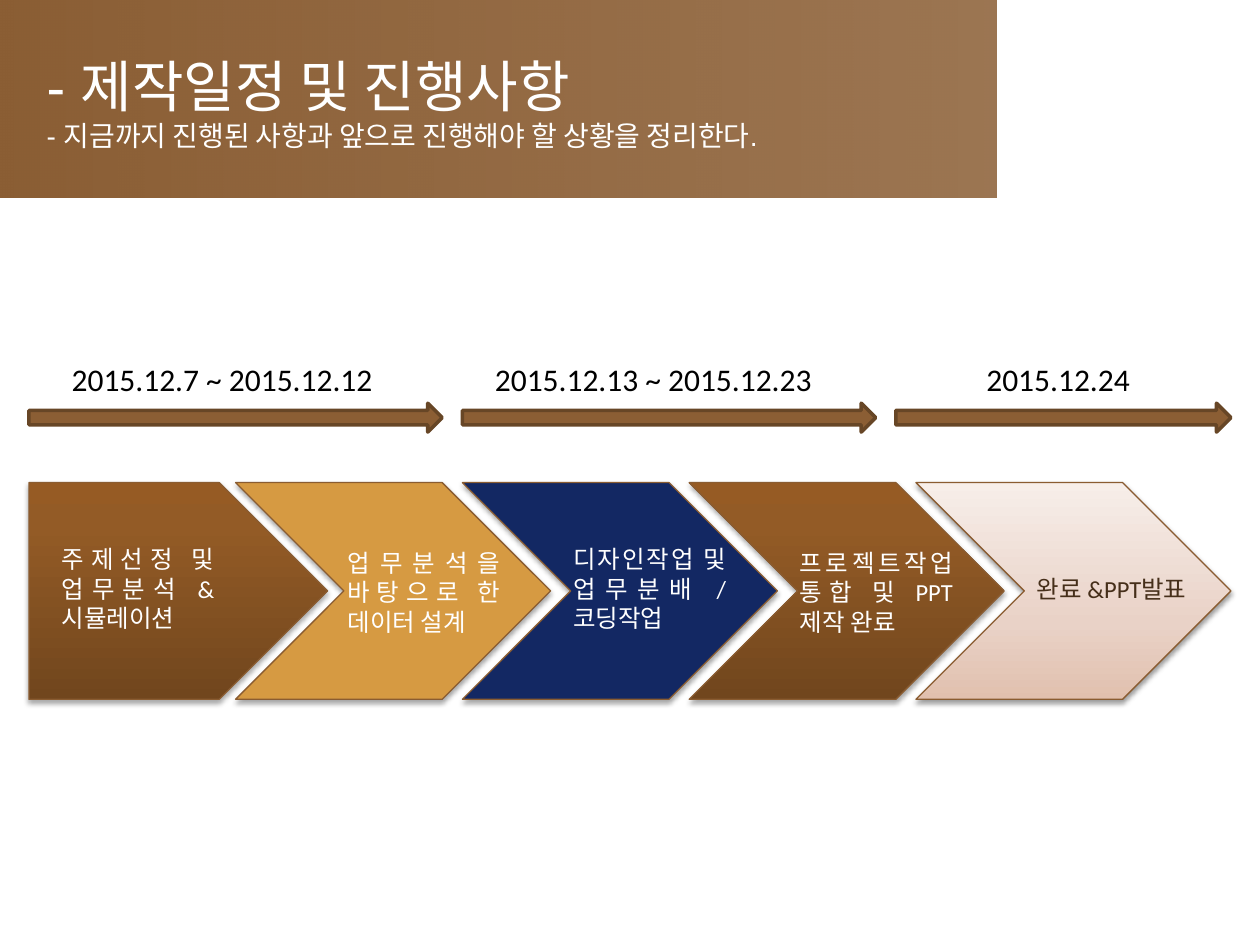
from lxml import etree
from pptx import Presentation, util as u
from pptx.dml.color import RGBColor
from pptx.enum import shapes, text
from pptx.oxml.ns import qn

WHITE = RGBColor(0xFF, 0xFF, 0xFF)
BLACK = RGBColor(0, 0, 0)
BROWN = RGBColor(0x8B, 0x5E, 0x34)
ARROW_EDGE = RGBColor(0x67, 0x46, 0x26)
STEP_EDGE = RGBColor(0x8A, 0x5C, 0x31)
GOLD = RGBColor(0xD6, 0x9A, 0x42)
NAVY = RGBColor(0x13, 0x28, 0x63)
DARK_TEXT = RGBColor(0x46, 0x2F, 0x1A)

# Gradient stops: position, colour, opacity (all in percent)
BAND_STOPS = [(0, BROWN, 100), (100, BROWN, 85)]
BROWN_STOPS = [(0, RGBColor(0x71, 0x46, 0x1D), 100),
               (80, RGBColor(0x93, 0x5B, 0x26), 100),
               (100, RGBColor(0x96, 0x5B, 0x24), 100)]
PALE_STOPS = [(0, RGBColor(0xE1, 0xC0, 0xAE), 100),
              (35, RGBColor(0xE9, 0xD2, 0xC7), 100),
              (100, RGBColor(0xF7, 0xEE, 0xE9), 100)]


def add_color(parent, color, opacity):
    element = etree.SubElement(parent, qn("a:srgbClr"), val=str(color))
    if opacity < 100:
        etree.SubElement(element, qn("a:alpha"), val=str(opacity * 1000))


class SlideBuilder:
    font = "Calibri"

    def __init__(self, slide):
        self.slide = slide

    def add_run(self, paragraph, words, size, color, font=None):
        run = paragraph.add_run()
        run.text = words
        run.font.size = u.Pt(size)
        run.font.name = font or self.font
        run.font.color.rgb = color

    def title(self, box, lines):
        shape = self.slide.shapes.title
        shape.left, shape.top, shape.width, shape.height = map(u.Inches, box)
        frame = shape.text_frame
        frame.word_wrap = True
        frame.auto_size = text.MSO_AUTO_SIZE.NONE
        frame.vertical_anchor = text.MSO_ANCHOR.MIDDLE
        paragraph = frame.paragraphs[0]
        paragraph.alignment = text.PP_ALIGN.LEFT
        for index, (words, size) in enumerate(lines):
            if index:
                paragraph.add_line_break()
            self.add_run(paragraph, words, size, WHITE, "Arial")

    def shape(self, kind, box, fill, edge=None, edge_width=0.75, angle=90):
        shape = self.slide.shapes.add_shape(kind, *map(u.Inches, box))
        shape.shadow.inherit = False
        if isinstance(fill, list):
            shape.fill.gradient()
            shape.fill.gradient_angle = angle
            stops = shape._element.spPr.find(".//" + qn("a:gsLst"))
            for stop in list(stops):
                stops.remove(stop)
            for position, color, opacity in fill:
                stop = etree.SubElement(stops, qn("a:gs"), pos=str(position * 1000))
                add_color(stop, color, opacity)
        else:
            shape.fill.solid()
            shape.fill.fore_color.rgb = fill
        if edge is None:
            shape.line.fill.background()
        else:
            shape.line.color.rgb = edge
            shape.line.width = u.Pt(edge_width)
        return shape

    def step(self, kind, box, fill, opacity, distance):
        shape = self.shape(kind, box, fill, STEP_EDGE)
        effects = shape._element.spPr.find(qn("a:effectLst"))
        shadow = etree.SubElement(
            effects, qn("a:outerShdw"), blurRad=str(u.Pt(3.1)),
            dist=str(u.Pt(distance)), dir="5400000", rotWithShape="0")
        add_color(shadow, BLACK, opacity)

    def label(self, box, words, size, color, wrap=True):
        frame = self.slide.shapes.add_textbox(*map(u.Inches, box)).text_frame
        frame.word_wrap = wrap
        frame.auto_size = text.MSO_AUTO_SIZE.SHAPE_TO_FIT_TEXT
        paragraph = frame.paragraphs[0]
        paragraph.alignment = text.PP_ALIGN.JUSTIFY if wrap else text.PP_ALIGN.LEFT
        self.add_run(paragraph, words, size, color)


def main():
    presentation = Presentation()
    presentation.slide_width = u.Inches(10)
    presentation.slide_height = u.Inches(7.5)
    slide = presentation.slides.add_slide(presentation.slide_layouts[5])
    builder = SlideBuilder(slide)
    kinds = shapes.MSO_SHAPE

    # Title on a brown band that lies behind it
    band = builder.shape(kinds.RECTANGLE, (0, 0, 7.91, 1.57), BAND_STOPS, angle=0)
    slide.shapes.title._element.addprevious(band._element)
    builder.title((0.27, 0.3, 7.48, 1.01), [
        ("- 제작일정 및 진행사항", 32),
        ("- 지금까지 진행된 사항과 앞으로 진행해야 할 상황을 정리한다.", 16)])

    # Process steps: a pentagon, then chevrons at an equal pitch
    first_chevron, pitch = 1.87, 1.8
    builder.step(kinds.PENTAGON, (0.23, 3.83, 2.37, 1.72), BROWN_STOPS, 35, 1.8)
    chevrons = [(GOLD, 35, 1.8), (NAVY, 35, 1.8),
                (BROWN_STOPS, 35, 1.8), (PALE_STOPS, 38, 1.6)]
    for index, style in enumerate(chevrons):
        left = first_chevron + index * pitch
        builder.step(kinds.CHEVRON, (left, 3.83, 2.5, 1.72), *style)

    # Step descriptions
    for left, top, words in [
            (0.39, 4.27, "주제선정 및 업무분석 & 시뮬레이션"),
            (2.66, 4.3, "업무분석을 바탕으로 한 데이터 설계"),
            (4.45, 4.27, "디자인작업 및 업무분배 / 코딩작업"),
            (6.25, 4.3, "프로젝트작업 통합 및 PPT 제작 완료")]:
        builder.label((left, top, 1.41, 0.81), words, 14, WHITE)
    builder.label((8.13, 4.51, 1.64, 0.34), "완료 &PPT발표", 14, DARK_TEXT)

    # Period arrows with their dates
    for left, width, date_left, date_width, date in [
            (0.23, 3.28, 0.47, 2.62, "2015.12.7 ~ 2015.12.12"),
            (3.67, 3.28, 3.83, 2.74, "2015.12.13 ~ 2015.12.23"),
            (7.11, 2.66, 7.73, 1.35, "2015.12.24")]:
        builder.shape(kinds.RIGHT_ARROW, (left, 3.2, width, 0.23), BROWN, ARROW_EDGE, 2)
        builder.label((date_left, 2.81, date_width, 0.4), date, 18, BLACK, wrap=False)

    presentation.save("out.pptx")


if __name__ == "__main__":
    main()
